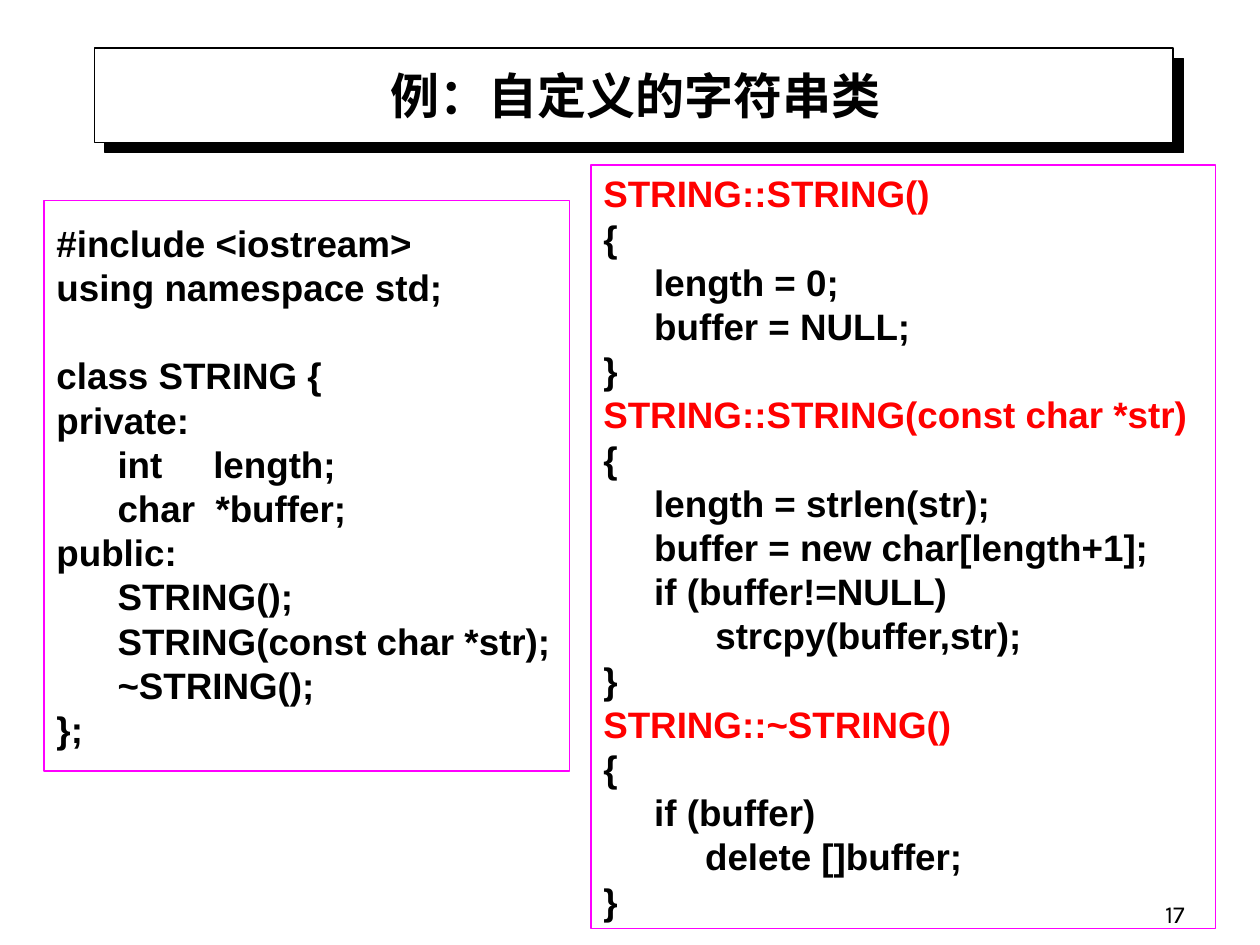
from dataclasses import dataclass
from lxml import etree
from pptx import Presentation
from pptx.dml.color import RGBColor as Rgb
from pptx.enum.shapes import MSO_SHAPE as Shape
from pptx.enum.text import MSO_ANCHOR as Anchor, MSO_AUTO_SIZE as AutoSize, PP_ALIGN as Align
from pptx.oxml.ns import qn
from pptx.util import Inches, Pt


@dataclass(frozen=True)
class Theme:
    ink: Rgb = Rgb(0, 0, 0)
    paper: Rgb = Rgb(255, 255, 255)
    accent: Rgb = Rgb(255, 0, 0)
    frame: Rgb = Rgb(255, 0, 255)
    heading_font: str = "Karla"
    code_font: str = "Arial"
    title_size: Pt = Pt(28)
    code_size: Pt = Pt(21)
    code_leading: Pt = Pt(25.25)
    number_size: Pt = Pt(14)
    line_width: Pt = Pt(0.75)


theme = Theme()

CLASS_CODE = """#include <iostream>
using namespace std;

class STRING {
private:
      int     length;
      char  *buffer;
public:
      STRING();
      STRING(const char *str);
      ~STRING();
};"""

METHOD_CODE = """STRING::STRING()
{
     length = 0;
     buffer = NULL;
}
STRING::STRING(const char *str)
{
     length = strlen(str);
     buffer = new char[length+1];
     if (buffer!=NULL)
           strcpy(buffer,str);
}
STRING::~STRING()
{
     if (buffer)
          delete []buffer;
}"""


def add_span(para, text, font, size, color, bold=False):
    span = para.add_run()
    span.text = text
    span.font.name = font
    span.font.size = size
    span.font.bold = bold
    span.font.color.rgb = color


def add_frame(page, bounds, line_color):
    box = page.shapes.add_shape(Shape.RECTANGLE, *map(Inches, bounds))
    box.shadow.inherit = False
    box.fill.background()
    box.line.color.rgb = line_color
    box.line.width = theme.line_width
    return box


deck = Presentation()
deck.slide_width, deck.slide_height = Inches(10), Inches(7.5)
page = deck.slides.add_slide(deck.slide_layouts[5])
title = page.shapes.title

# Title banner with a hard offset shadow, placed behind the title
banner = add_frame(page, (0.75, 0.38, 8.56, 0.75), theme.ink)
banner.fill.solid()
banner.fill.fore_color.rgb = theme.paper
effects = banner._element.spPr.find(qn("a:effectLst"))
shadow = etree.SubElement(effects, qn("a:outerShdw"), dist=str(Pt(8.5)),
                          dir=str(45 * 60000), algn="ctr", rotWithShape="0")
etree.SubElement(shadow, qn("a:srgbClr"), val=str(theme.ink))
title._element.addprevious(banner._element)

# Title
title.left, title.top, title.width, title.height = map(Inches, (0.83, 0.44, 8.43, 0.63))
title.text_frame.auto_size = AutoSize.NONE
title.text_frame.vertical_anchor = Anchor.MIDDLE
para = title.text_frame.paragraphs[0]
para.alignment = Align.CENTER
add_span(para, "例：自定义的字符串类", theme.heading_font, theme.title_size, theme.ink, bold=True)

# Code panels: declaration on the left, definitions on the right
for code, bounds in ((CLASS_CODE, (0.35, 1.59, 4.17, 4.53)),
                     (METHOD_CODE, (4.69, 1.31, 4.96, 6.06))):
    panel = add_frame(page, bounds, theme.frame)
    frame = panel.text_frame
    frame.word_wrap = True
    frame.vertical_anchor = Anchor.MIDDLE
    para, gap = frame.paragraphs[0], Pt(0)
    for index, line in enumerate(code.split("\n")):
        if not line:  # an empty code line becomes space before the next one
            gap = theme.code_leading
            continue
        if index:
            para = frame.add_paragraph()
        para.alignment = Align.LEFT
        para.line_spacing = theme.code_leading
        para.space_before, gap = gap, Pt(0)
        color = theme.accent if line.startswith("STRING::") else theme.ink
        add_span(para, line, theme.code_font, theme.code_size, color, bold=True)

# Page number
number = page.shapes.add_textbox(*map(Inches, (7.42, 6.92, 2.08, 0.5)))
number.text_frame.word_wrap = True
number.text_frame.vertical_anchor = Anchor.BOTTOM
para = number.text_frame.paragraphs[0]
para.alignment = Align.RIGHT
add_span(para, "17", theme.heading_font, theme.number_size, theme.ink)

deck.save("out.pptx")
